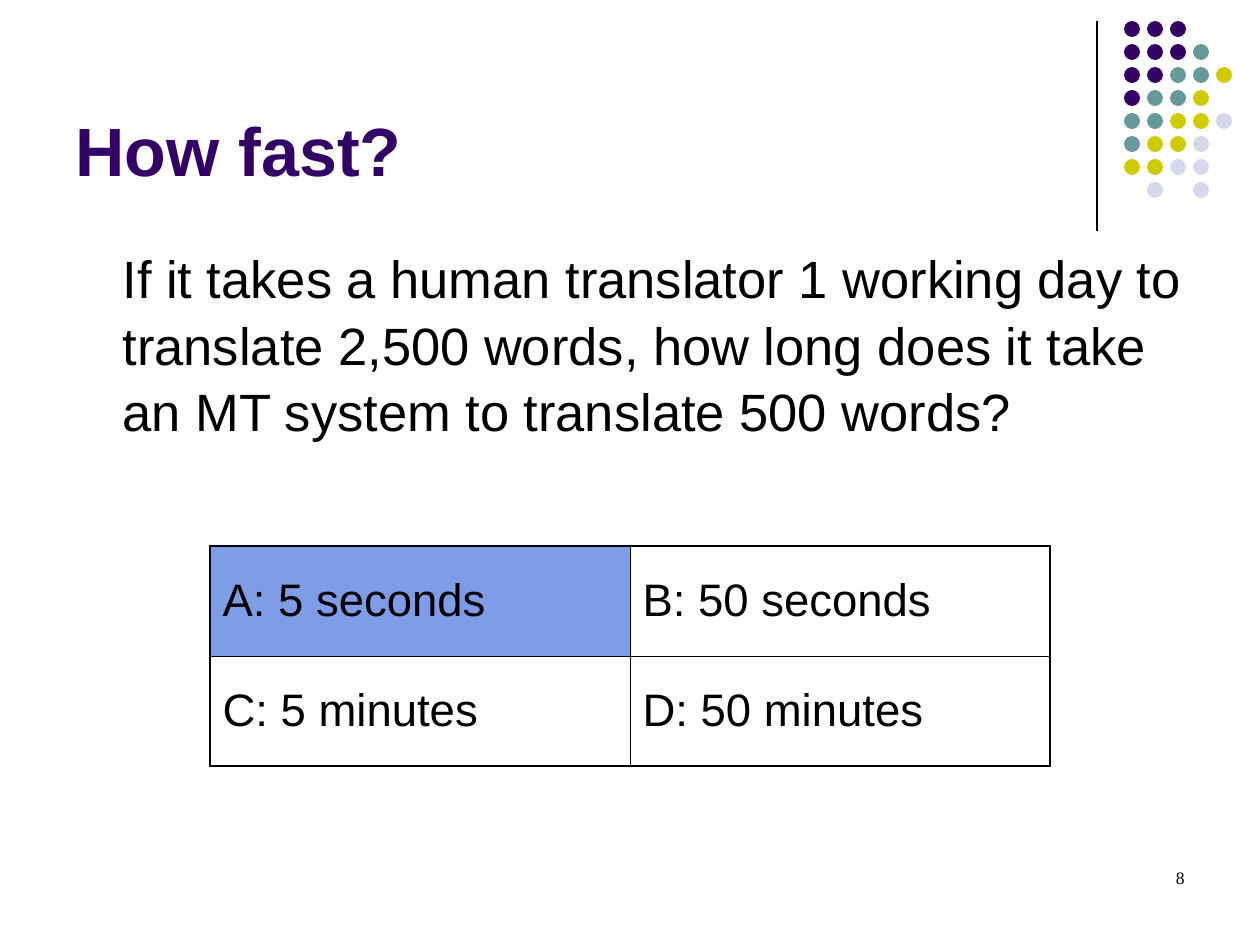
from dataclasses import dataclass

from lxml.etree import SubElement
from pptx import Presentation
from pptx.dml.color import RGBColor
from pptx.enum.shapes import MSO_CONNECTOR, MSO_SHAPE
from pptx.enum.text import MSO_ANCHOR, MSO_AUTO_SIZE, PP_ALIGN
from pptx.oxml.ns import qn
from pptx.util import Emu, Pt

PX_PER_INCH = 126


@dataclass(frozen=True)
class Theme:
    purple: str = "330066"
    teal: str = "669999"
    lime: str = "CCCC00"
    lavender: str = "D8D8EC"
    answer: str = "7E9CE8"
    white: str = "FFFFFF"
    black: str = "000000"
    sans: str = "Arial"
    serif: str = "Times New Roman"
    title_size: int = 39
    question_size: int = 30
    option_size: int = 26
    number_size: int = 10
    divider: float = 0.75
    outer_border: float = 1.08
    inner_border: float = 0.45


THEME = Theme()
DOT_COLORS = {"P": THEME.purple, "T": THEME.teal, "Y": THEME.lime, "L": THEME.lavender}
DOT_ROWS = ["PPP", "PPPT", "PPTTY", "PTTY", "TTYYL", "TYYL", "YYLL", " L L"]
OPTIONS = [["A: 5 seconds", "B: 50 seconds"], ["C: 5 minutes", "D: 50 minutes"]]
CORRECT = "A: 5 seconds"


def px(length):
    return Emu(round(length * 914400 / PX_PER_INCH))


def place(shape, box):
    for side, length in zip(("left", "top", "width", "height"), box):
        setattr(shape, side, px(length))


def paint(fill, color):
    fill.solid()
    fill.fore_color.rgb = RGBColor.from_string(color)


def write(frame, text, color, **font_format):
    """Put one paragraph in a text frame and return it."""
    paragraph = frame.paragraphs[0]
    run = paragraph.add_run()
    run.text = text
    run.font.color.rgb = RGBColor.from_string(color)
    for attribute, value in font_format.items():
        setattr(run.font, attribute, value)
    return paragraph


def add_corner_dots(slide, box):
    left, top, _, height = box
    divider = slide.shapes.add_connector(
        MSO_CONNECTOR.STRAIGHT, px(left), px(top), px(left), px(top + height))
    divider.line.color.rgb = RGBColor.from_string(THEME.black)
    divider.line.width = Pt(THEME.divider)
    SubElement(divider.element.spPr, qn("a:effectLst"))

    offset, pitch, diameter = 27, 23, 16
    dots = slide.shapes.add_group_shape()
    for row, codes in enumerate(DOT_ROWS):
        for column, code in enumerate(codes):
            if code == " ":
                continue
            dot = dots.shapes.add_shape(
                MSO_SHAPE.OVAL, px(left + offset + column * pitch),
                px(top + row * pitch), px(diameter), px(diameter))
            paint(dot.fill, DOT_COLORS[code])
            dot.line.fill.background()
            dot.shadow.inherit = False


def fill_title(slide, box):
    title = slide.shapes.title
    place(title, box)
    frame = title.text_frame
    frame.auto_size = MSO_AUTO_SIZE.NONE
    frame.vertical_anchor = MSO_ANCHOR.BOTTOM
    heading = write(frame, "How fast?", THEME.purple, name=THEME.sans,
                    size=Pt(THEME.title_size), bold=True)
    heading.alignment = PP_ALIGN.LEFT


def fill_question(slide, box):
    body = slide.placeholders[1]
    place(body, box)
    frame = body.text_frame
    frame.auto_size = MSO_AUTO_SIZE.NONE
    properties = frame.paragraphs[0]._p.get_or_add_pPr()
    properties.set("marL", str(px(47)))
    properties.set("indent", "0")
    SubElement(properties, qn("a:buNone"))
    question = write(
        frame,
        "If it takes a human translator 1 working day to translate 2,500 words, "
        "how long does it take an MT system to translate 500 words?",
        THEME.black, name=THEME.sans, size=Pt(THEME.question_size))
    question.space_before = Pt(0)
    question.line_spacing = 1.05


def set_borders(cell, widths):
    """Draw the cell's edges; widths maps an edge tag to points."""
    properties = cell._tc.get_or_add_tcPr()
    for index, (edge, width) in enumerate(widths.items()):
        line = properties.makeelement(qn(f"a:{edge}"), {"w": str(Pt(width))})
        fill = SubElement(line, qn("a:solidFill"))
        SubElement(fill, qn("a:srgbClr"), val=THEME.black)
        properties.insert(index, line)


def add_options(slide, box):
    rows, columns = len(OPTIONS), len(OPTIONS[0])
    table = slide.shapes.add_table(rows, columns, *map(px, box)).table
    table.first_row = table.horz_banding = False
    for r, options in enumerate(OPTIONS):
        for c, option in enumerate(options):
            cell = table.cell(r, c)
            cell.vertical_anchor = MSO_ANCHOR.MIDDLE
            paint(cell.fill, THEME.answer if option == CORRECT else THEME.white)
            write(cell.text_frame, option, THEME.black, name=THEME.sans,
                  size=Pt(THEME.option_size))
            is_outer = {"lnL": c == 0, "lnR": c == columns - 1,
                        "lnT": r == 0, "lnB": r == rows - 1}
            set_borders(cell, {
                edge: THEME.outer_border if outer else THEME.inner_border
                for edge, outer in is_outer.items()})


def add_slide_number(slide, box):
    frame = slide.shapes.add_textbox(*map(px, box)).text_frame
    frame.word_wrap = True
    number = write(frame, "8", THEME.black, name=THEME.serif, size=Pt(THEME.number_size))
    number.alignment = PP_ALIGN.RIGHT


def main():
    presentation = Presentation()
    presentation.slide_width, presentation.slide_height = px(1260), px(945)
    slide = presentation.slides.add_slide(presentation.slide_layouts[1])
    paint(slide.background.fill, THEME.white)
    add_corner_dots(slide, (1097, 21, 135, 210))
    fill_title(slide, (63, 16, 1040, 180))
    fill_question(slide, (63, 237, 1134, 237))
    add_options(slide, (210, 546, 840, 220))
    add_slide_number(slide, (903, 861, 294, 63))
    presentation.save("out.pptx")


if __name__ == "__main__":
    main()
